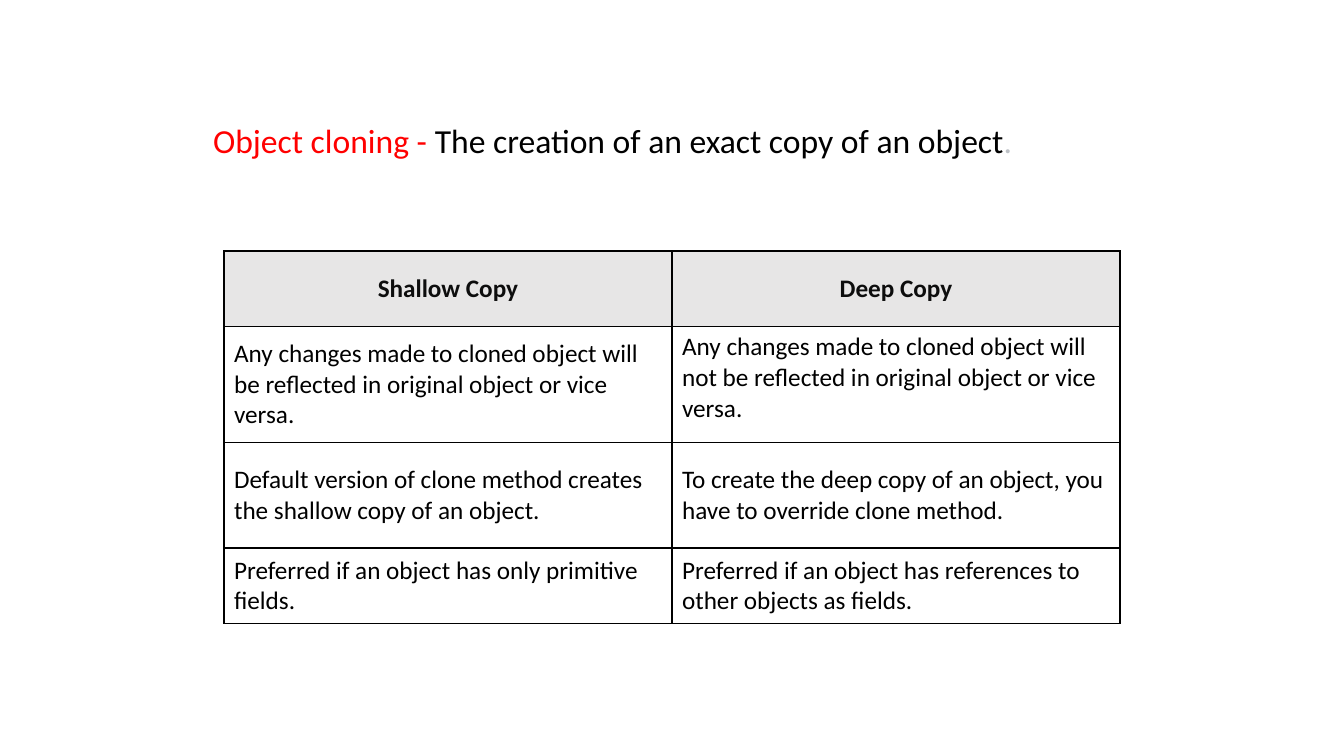
from dataclasses import dataclass

from lxml import etree
from pptx import Presentation
from pptx import util as u
from pptx.dml.color import RGBColor
from pptx.enum import text
from pptx.oxml import ns

WIDTH, HEIGHT = u.Inches(13.33), u.Inches(7.5)
LEFT, TOP = 1 / 6, 0.332
COLUMN = 1 / 3
ROWS = (0.1, 0.153, 0.14, 0.1)
MIDDLE, UPPER = text.MSO_ANCHOR.MIDDLE, text.MSO_ANCHOR.TOP


@dataclass
class Entry:
    label: str
    anchor: text.MSO_ANCHOR = MIDDLE


COMPARISON = (
    (Entry("Shallow Copy"), Entry("Deep Copy")),
    (
        Entry("Any changes made to cloned object will be reflected in original object or vice versa."),
        Entry("Any changes made to cloned object will not be reflected in original object or vice versa.", UPPER),
    ),
    (
        Entry("Default version of clone method creates the shallow copy of an object."),
        Entry("To create the deep copy of an object, you have to override clone method."),
    ),
    (
        Entry("Preferred if an object has only primitive fields."),
        Entry("Preferred if an object has references to other objects as fields."),
    ),
)


def across(share: float) -> int:
    return round(WIDTH * share)


def down(share: float) -> int:
    return round(HEIGHT * share)


def rgb(value: str) -> RGBColor:
    return RGBColor.from_string(value)


def write(p, label: str, *, size: float = 18, color: str = "000000", bold: bool = False) -> None:
    r = p.add_run()
    r.text = label
    r.font.name = "Calibri"
    r.font.size = u.Pt(size)
    r.font.bold = bold
    r.font.color.rgb = rgb(color)


def add_borders(cell, color: str) -> None:
    props = cell._tc.get_or_add_tcPr()
    for side in ("lnL", "lnR", "lnT", "lnB"):
        ln = etree.SubElement(props, ns.qn(f"a:{side}"), w=str(u.Pt(1)))
        fill = etree.SubElement(ln, ns.qn("a:solidFill"))
        etree.SubElement(fill, ns.qn("a:srgbClr"), val=color)


def fill_cell(cell, entry: Entry, header: bool) -> None:
    add_borders(cell, "000000")
    cell.vertical_anchor = entry.anchor
    p = cell.text_frame.paragraphs[0]
    if header:
        cell.fill.solid()
        cell.fill.fore_color.rgb = rgb("E7E6E6")
        p.alignment = text.PP_ALIGN.CENTER
        write(p, entry.label, color="0D0D0D", bold=True)
    else:
        cell.fill.background()
        write(p, entry.label)


def add_title(s) -> None:
    sp = s.shapes.title
    sp.left, sp.top = across(0.151), down(0.152)
    sp.width, sp.height = across(0.732), down(0.067)
    tf = sp.text_frame
    tf.word_wrap = True
    tf.auto_size = text.MSO_AUTO_SIZE.SHAPE_TO_FIT_TEXT
    tf.vertical_anchor = UPPER
    p = tf.paragraphs[0]
    p.alignment = text.PP_ALIGN.LEFT
    write(p, "Object cloning - ", size=24, color="FF0000")
    write(p, "The creation of an exact copy of an object", size=24)
    write(p, ".", size=24, color="BDC1C6")


def add_comparison(s) -> None:
    columns = len(COMPARISON[0])
    table = s.shapes.add_table(
        len(ROWS), columns, across(LEFT), down(TOP), across(COLUMN * columns), down(sum(ROWS))
    ).table
    table.horz_banding = False
    for column in table.columns:
        column.width = across(COLUMN)
    for i, (share, entries) in enumerate(zip(ROWS, COMPARISON)):
        table.rows[i].height = down(share)
        for j, entry in enumerate(entries):
            fill_cell(table.cell(i, j), entry, header=i == 0)


def main() -> None:
    prs = Presentation()
    prs.slide_width, prs.slide_height = WIDTH, HEIGHT
    s = prs.slides.add_slide(prs.slide_layouts.get_by_name("Title Only"))
    add_title(s)
    add_comparison(s)
    prs.save("out.pptx")


if __name__ == "__main__":
    main()
